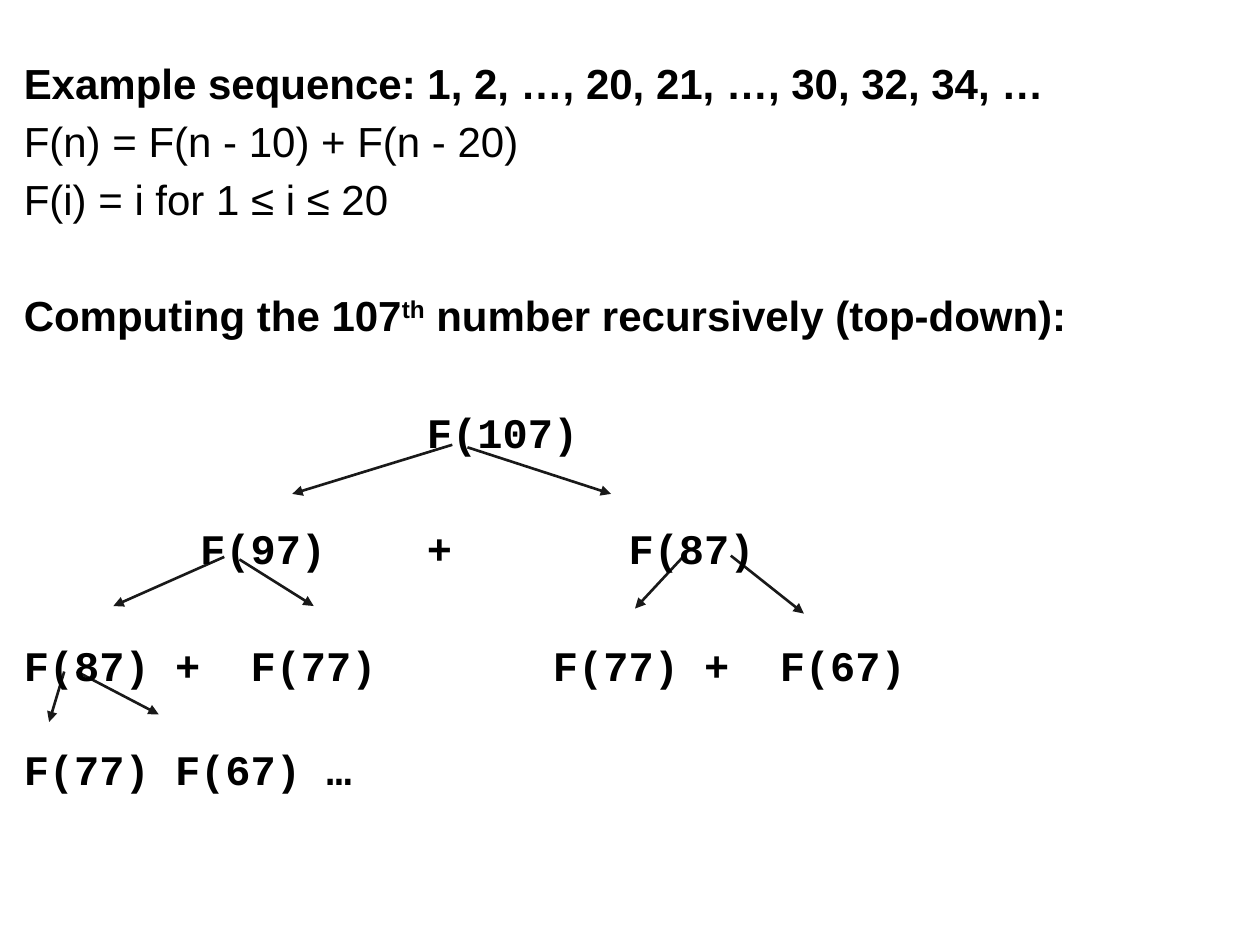
from lxml.etree import SubElement
from pptx import Presentation
from pptx.dml.color import RGBColor
from pptx.enum.shapes import MSO_CONNECTOR as Connector
from pptx.oxml.ns import qn
from pptx.util import Inches, Pt

BLACK = RGBColor(0x00, 0x00, 0x00)
ARROW_GREY = RGBColor(0x19, 0x19, 0x19)
SANS, MONO = "Arial", "Courier New"
CHAR_WIDTH = Inches(0.2)  # one 24 pt Courier New character


class RecursionSlide:
    """Places elements on a grid of 100 columns by 75 rows."""

    size = Pt(24)
    line_width = Pt(1.5)
    inset = Inches(0.1)

    def __init__(self, deck):
        self.slide = deck.slides.add_slide(deck.slide_layouts[6])
        self.column = deck.slide_width / 100
        self.row = deck.slide_height / 75

    def place(self, column, row):
        return round(column * self.column), round(row * self.row)

    def arrow(self, start, end):
        line = self.slide.shapes.add_connector(
            Connector.STRAIGHT, *self.place(*start), *self.place(*end))
        line.line.color.rgb = ARROW_GREY
        line.line.width = self.line_width
        SubElement(line.line._get_or_add_ln(), qn("a:tailEnd"), type="triangle")
        SubElement(line._element.spPr, qn("a:effectLst"))

    def text_frame(self, left, top, width, height):
        box = self.slide.shapes.add_textbox(*self.place(left, top), *self.place(width, height))
        frame = box.text_frame
        frame.word_wrap = True
        frame.margin_left = frame.margin_right = self.inset
        frame.margin_top = frame.margin_bottom = self.inset
        return frame

    def paragraph(self, frame, first=False, spacing=1.15, before=0):
        paragraph = frame.paragraphs[0] if first else frame.add_paragraph()
        paragraph.line_spacing = spacing
        paragraph.space_before = Pt(before)
        return paragraph

    def run(self, paragraph, text, font=SANS, bold=True, raised=False):
        run = paragraph.add_run()
        run.text = text
        run.font.name = font
        run.font.size = self.size
        run.font.bold = bold
        run.font.color.rgb = BLACK
        if raised:
            run.font._element.set("baseline", "30000")

    def tree_level(self, frame, terms, **spacing):
        """Writes (character position, term) pairs, each aligned by a tab stop."""
        paragraph = self.paragraph(frame, **spacing)
        stops = SubElement(paragraph._p.get_or_add_pPr(), qn("a:tabLst"))
        for position, term in terms:
            if position:
                SubElement(stops, qn("a:tab"), pos=str(position * CHAR_WIDTH), algn="l")
                term = "\t" + term
            self.run(paragraph, term, MONO)


BRANCHES = [
    ((35.9, 35.3), (23.2, 39.2)), ((37.1, 35.5), (48.5, 39.2)),
    ((17.8, 44.2), (9.0, 48.1)), ((19.0, 44.4), (24.9, 48.1)),
    ((54.3, 44.1), (50.4, 48.3)), ((58.0, 44.1), (63.8, 48.7)),
    ((5.1, 53.3), (3.9, 57.3)), ((6.1, 53.3), (12.6, 56.7)),
]
DEFINITION = [
    ("Example sequence: 1, 2, …, 20, 21, …, 30, 32, 34, …", True),
    ("F(n) = F(n - 10) + F(n - 20)", False),
    ("F(i) = i for 1 ≤ i ≤ 20", False),
]
LEVELS = [
    [(16, "F(107)")],
    [(7, "F(97)"), (16, "+"), (24, "F(87)")],
    [(0, "F(87) +"), (9, "F(77)"), (21, "F(77) +"), (30, "F(67)")],
]


def main():
    deck = Presentation()
    deck.slide_width, deck.slide_height = Inches(10), Inches(7.5)
    page = RecursionSlide(deck)

    for start, end in BRANCHES:
        page.arrow(start, end)

    frame = page.text_frame(0.9, 3, 98.1, 28)
    for index, (statement, bold) in enumerate(DEFINITION):
        page.run(page.paragraph(frame, first=index == 0), statement, bold=bold)

    heading = page.paragraph(frame, before=33)
    page.run(heading, "Computing the 107")
    page.run(heading, "th", raised=True)
    page.run(heading, " number recursively (top-down):")

    for level in LEVELS:
        page.tree_level(frame, level, before=33.5)
    page.tree_level(frame, [(0, "F(77) F(67) …")], spacing=1.0, before=31)

    deck.save("out.pptx")


if __name__ == "__main__":
    main()
